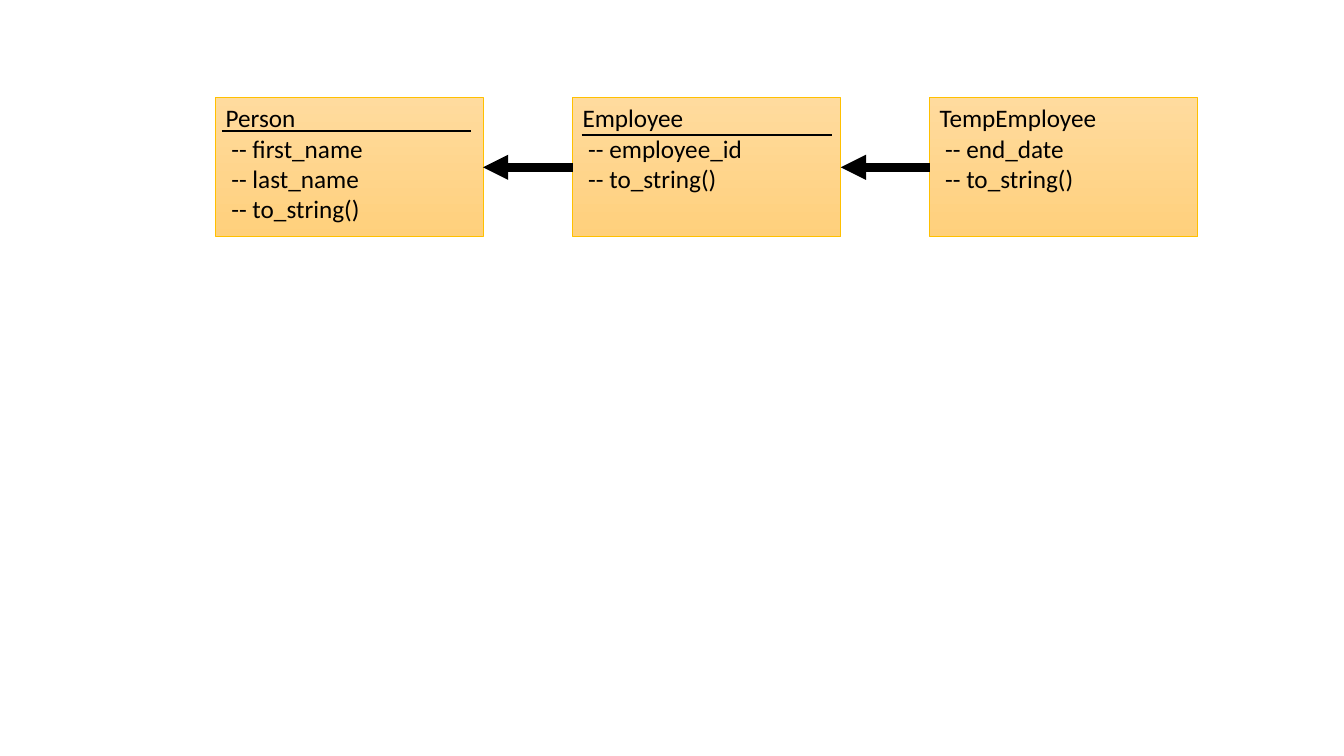
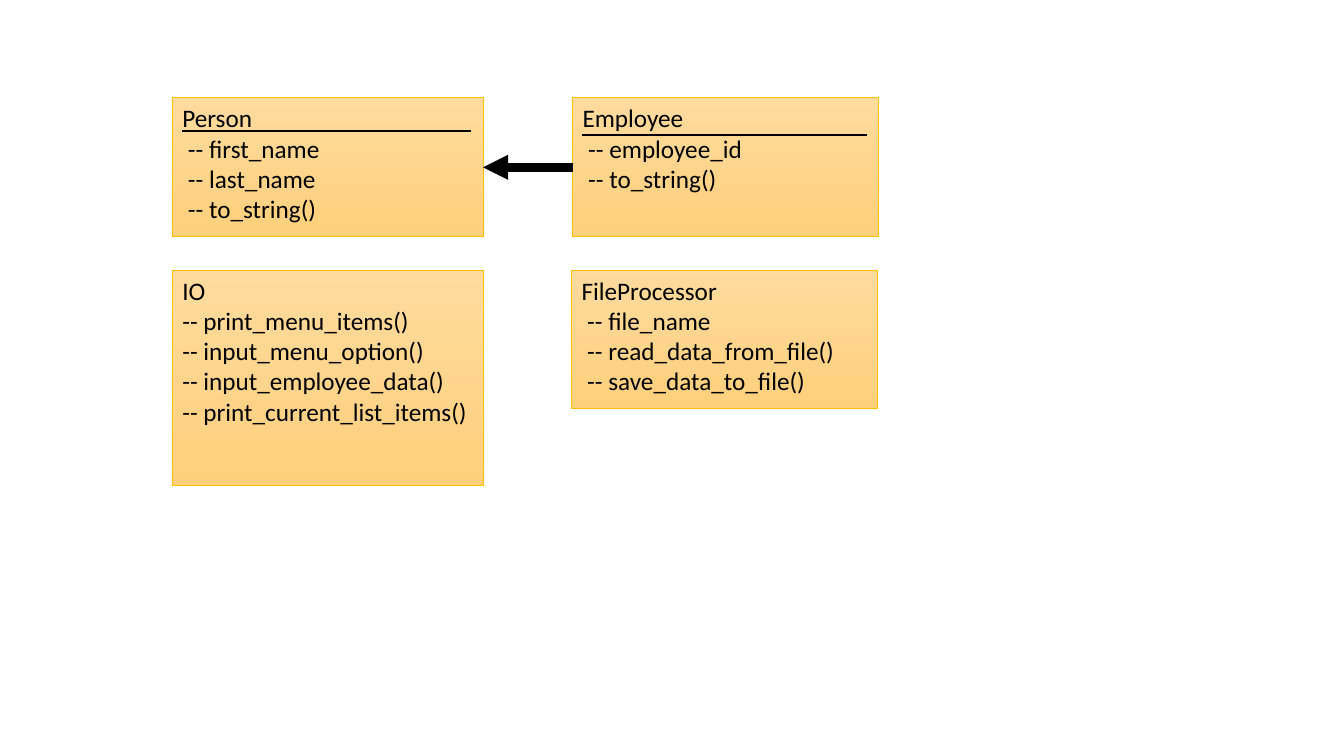
from pptx import Presentation
from pptx.dml.color import RGBColor
from pptx.enum.shapes import MSO_CONNECTOR, MSO_SHAPE
from pptx.enum.text import MSO_ANCHOR, PP_ALIGN
from pptx.oxml.ns import qn
from pptx.util import Inches, Pt
from lxml.etree import SubElement

# Shared style
COLORS = {"top": "FFDB9E", "bottom": "FFD07C", "border": "FFC000", "ink": "000000"}
FONT, TEXT_SIZE = "Calibri", Pt(18)
BOX_HEIGHT = 1.38
ROW_TOPS = (0.97, 2.68)
BLANK_LAYOUT = 6
LEFT_SIDE, RIGHT_SIDE = 1, 3

# Class members, one line each
MEMBERS = {
    "Person": [" -- first_name", " -- last_name", " -- to_string()"],
    "Employee": [" -- employee_id", " -- to_string()"],
    "TempEmployee": [" -- end_date", " -- to_string()"],
    "IO": ["-- print_menu_items()", "-- input_menu_option()",
           "-- input_employee_data()", "-- print_current_list_items()"],
    "FileProcessor": [" -- file_name", " -- read_data_from_file()",
                      " -- save_data_to_file()"],
}

# boxes: name, left, row, width, height
# dividers: left, right, y
# parents: child, parent
DIAGRAMS = [
    {
        "boxes": [("Person", 2.14, 0, 2.65, BOX_HEIGHT),
                  ("Employee", 5.68, 0, 2.66, BOX_HEIGHT),
                  ("TempEmployee", 9.22, 0, 2.66, BOX_HEIGHT)],
        "dividers": [(2.2, 4.67, 1.3), (5.77, 8.25, 1.34)],
        "parents": [("Employee", "Person"), ("TempEmployee", "Employee")],
    },
    {
        "boxes": [("Person", 1.71, 0, 3.08, BOX_HEIGHT),
                  ("Employee", 5.68, 0, 3.03, BOX_HEIGHT),
                  ("IO", 1.71, 1, 3.08, 2.14),
                  ("FileProcessor", 5.67, 1, 3.03, 1.37)],
        "dividers": [(1.81, 4.67, 1.3), (5.77, 8.6, 1.34)],
        "parents": [("Employee", "Person")],
    },
]


def color(name):
    return RGBColor.from_string(COLORS[name])


def add_class_box(slide, name, left, row, width, height):
    shape = slide.shapes.add_shape(
        MSO_SHAPE.RECTANGLE, Inches(left), Inches(ROW_TOPS[row]),
        Inches(width), Inches(height))
    shape.shadow.inherit = False
    shape.fill.gradient()
    shape.fill.gradient_angle = 270  # counter-clockwise: runs top to bottom
    for stop, stop_color in zip(shape.fill.gradient_stops, ("top", "bottom")):
        stop.color.rgb = color(stop_color)
    shape.line.color.rgb = color("border")
    shape.line.width = Pt(0.5)

    frame = shape.text_frame
    frame.word_wrap = True
    frame.vertical_anchor = MSO_ANCHOR.TOP
    for index, text in enumerate([name] + MEMBERS[name]):
        paragraph = frame.add_paragraph() if index else frame.paragraphs[0]
        paragraph.alignment = PP_ALIGN.JUSTIFY
        run = paragraph.add_run()
        run.text = text
        run.font.name = FONT
        run.font.size = TEXT_SIZE
        run.font.color.rgb = color("ink")
    return shape


def add_line(slide, start, end, width):
    connector = slide.shapes.add_connector(MSO_CONNECTOR.STRAIGHT, *start, *end)
    connector.line.color.rgb = color("ink")
    connector.line.width = Pt(width)
    SubElement(connector.element.spPr, qn("a:effectLst"))
    return connector


def add_inheritance_arrow(slide, child, parent):
    middle = child.top + child.height // 2
    arrow = add_line(slide, (child.left, middle),
                     (parent.left + parent.width, middle), 6)
    arrow.begin_connect(child, LEFT_SIDE)
    arrow.end_connect(parent, RIGHT_SIDE)
    SubElement(arrow.element.spPr.find(qn("a:ln")), qn("a:tailEnd"), type="triangle")


def add_diagram(presentation, diagram):
    slide = presentation.slides.add_slide(presentation.slide_layouts[BLANK_LAYOUT])
    boxes = {box[0]: add_class_box(slide, *box) for box in diagram["boxes"]}
    for left, right, y in diagram["dividers"]:
        add_line(slide, (Inches(left), Inches(y)), (Inches(right), Inches(y)), 1.5)
    for child, parent in diagram["parents"]:
        add_inheritance_arrow(slide, boxes[child], boxes[parent])


def main():
    presentation = Presentation()
    presentation.slide_width = Inches(13.33)
    presentation.slide_height = Inches(7.5)
    for diagram in DIAGRAMS:
        add_diagram(presentation, diagram)
    presentation.save("out.pptx")


if __name__ == "__main__":
    main()
